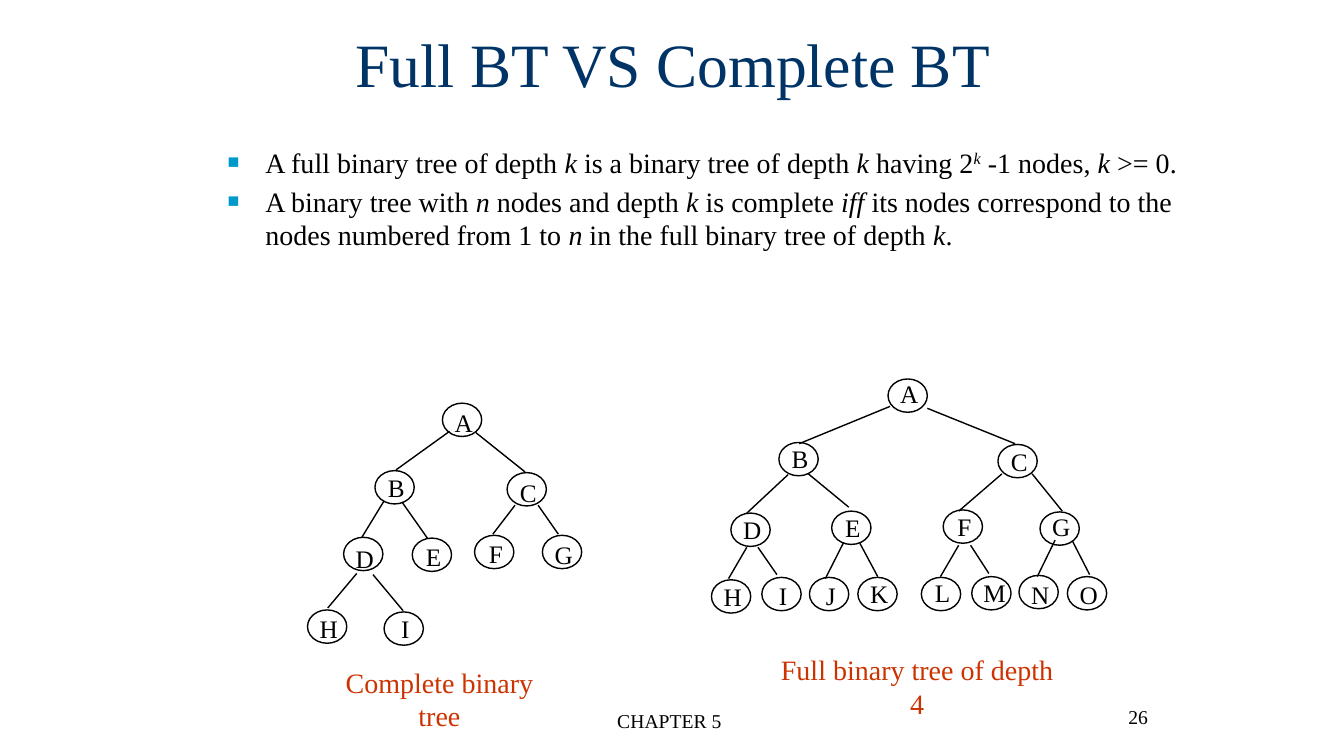
from lxml.etree import SubElement
from pptx import Presentation
from pptx.dml.color import RGBColor
from pptx.enum.shapes import MSO_CONNECTOR as Line, MSO_SHAPE as Preset
from pptx.enum.text import MSO_ANCHOR as Anchor, PP_ALIGN as Align
from pptx.oxml.ns import qn
from pptx.util import Cm, Pt

FONT = "Times New Roman"
BLACK, NAVY, RED, SKY = "000000", "003366", "CC3300", "0099CC"
NODE_WIDTH, NODE_HEIGHT = 0.99, 0.84
LABEL_HEIGHT, LABEL_SHIFT = 1.02, 0.04

DEFINITIONS = [
    "A full binary tree of depth *k* is a binary tree of depth *k* having "
    "2*^k* -1 nodes, *k *>= 0.",
    "A binary tree with *n* nodes and depth *k* is complete *iff* its nodes "
    "correspond to the nodes numbered from 1 to *n* in the full binary tree "
    "of depth *k*.",
]

# Each node: name, left, top, label rise, edge from its parent (x1, y1, x2, y2)
COMPLETE_TREE = [
    ("A", 11.15, 10.16, 0.03, None),
    ("B", 9.45, 11.86, 0.08, (11.33, 10.87, 9.98, 11.84)),
    ("C", 12.78, 11.91, 0, (11.99, 10.9, 13.23, 11.89)),
    ("D", 8.66, 13.54, -0.03, (9.68, 12.62, 9.12, 13.54)),
    ("E", 10.39, 13.56, 0.05, (10.13, 12.65, 10.77, 13.56)),
    ("F", 11.96, 13.49, 0.05, (12.98, 12.73, 12.42, 13.46)),
    ("G", 13.67, 13.49, 0.03, (13.56, 12.73, 14.07, 13.46)),
    ("H", 7.75, 15.37, 0.05, (8.99, 14.45, 8.26, 15.32)),
    ("I", 9.68, 15.42, 0.1, (9.4, 14.48, 10.16, 15.39)),
]
FULL_TREE = [
    ("A", 22.38, 9.55, 0.13, None),
    ("B", 19.63, 11.15, 0.1, (22.43, 10.24, 20.14, 11.18)),
    ("C", 25.15, 11.2, 0.08, (23.37, 10.29, 25.58, 11.18)),
    ("D", 18.42, 12.93, 0.1, (19.86, 11.96, 18.82, 12.93)),
    ("E", 20.96, 12.88, 0.1, (20.37, 11.94, 21.39, 12.78)),
    ("F", 23.77, 12.85, 0.1, (25.25, 11.94, 24.16, 12.88)),
    ("G", 26.21, 12.9, 0.13, (26.01, 11.94, 26.77, 12.88)),
    ("H", 17.93, 14.61, 0.08, (18.82, 13.79, 18.36, 14.58)),
    ("I", 19.2, 14.55, 0.05, (19.1, 13.79, 19.58, 14.48)),
    ("J", 20.4, 14.55, 0.05, (21.26, 13.67, 20.8, 14.58)),
    ("K", 21.62, 14.55, 0.1, (21.67, 13.69, 22.12, 14.53)),
    ("L", 23.22, 14.55, 0.13, (24.16, 13.74, 23.7, 14.53)),
    ("M", 24.49, 14.53, 0.1, (24.46, 13.74, 24.92, 14.45)),
    ("N", 25.68, 14.5, 0.03, (26.59, 13.61, 26.14, 14.53)),
    ("O", 26.9, 14.53, 0.05, (27.03, 13.64, 27.46, 14.48)),
]


def rgb(color):
    return RGBColor.from_string(color)


def add_bullet(paragraph):
    props = paragraph._p.get_or_add_pPr()
    props.set("marL", str(Cm(0.95)))
    props.set("indent", str(-Cm(0.95)))
    SubElement(SubElement(props, qn("a:buClr")), qn("a:srgbClr"), val=SKY)
    SubElement(props, qn("a:buSzPct"), val="70000")
    SubElement(props, qn("a:buFont"), typeface=FONT)
    SubElement(props, qn("a:buChar"), char="■")


def add_runs(paragraph, text):
    """Fill a paragraph; *...* is italic and *^...* a raised italic."""
    for index, piece in enumerate(text.split("*")):
        if not piece:
            continue
        run = paragraph.add_run()
        run.text = piece.removeprefix("^")
        if index % 2:
            run.font.italic = True
        if piece.startswith("^"):
            run._r.get_or_add_rPr().set("baseline", "30000")


def add_text(slide, text, left, top, width, height, *, size, color=BLACK,
             align=Align.LEFT, anchor=Anchor.TOP, wrap=True, bullets=False,
             side_inset=0.25):
    """Add a text box; a list of strings gives one paragraph each."""
    box = slide.shapes.add_textbox(Cm(left), Cm(top), Cm(width), Cm(height))
    frame = box.text_frame
    frame.word_wrap = wrap
    frame.vertical_anchor = anchor
    frame.margin_left = frame.margin_right = Cm(side_inset)
    lines = [text] if isinstance(text, str) else text
    for index, line in enumerate(lines):
        paragraph = frame.add_paragraph() if index else frame.paragraphs[0]
        if bullets:
            add_bullet(paragraph)
        if index:
            paragraph.space_before = Pt(4)
        paragraph.alignment = align
        add_runs(paragraph, line)
        for run in paragraph.runs:
            run.font.name = FONT
            run.font.size = Pt(size)
            run.font.color.rgb = rgb(color)


def add_edge(slide, x1, y1, x2, y2):
    edge = slide.shapes.add_connector(
        Line.STRAIGHT, Cm(x1), Cm(y1), Cm(x2), Cm(y2))
    edge.line.color.rgb = rgb(BLACK)
    edge.line.width = Pt(1)
    SubElement(edge._element.spPr, qn("a:effectLst"))


def add_node(slide, name, left, top, rise):
    node = slide.shapes.add_shape(
        Preset.OVAL, Cm(left), Cm(top), Cm(NODE_WIDTH), Cm(NODE_HEIGHT))
    node.shadow.inherit = False
    node.fill.background()
    node.line.color.rgb = rgb(BLACK)
    node.line.width = Pt(1)
    add_text(slide, name, left + LABEL_SHIFT, top - rise, NODE_WIDTH,
             LABEL_HEIGHT, size=18, align=Align.CENTER, wrap=False)


def add_tree(slide, nodes):
    for name, left, top, rise, edge in nodes:
        add_node(slide, name, left, top, rise)
        if edge:
            add_edge(slide, *edge)


def add_caption(slide, text, left, top, width):
    add_text(slide, text, left, top, width, 1.09, size=20, color=RED,
             align=Align.CENTER, side_inset=0.36)


def main():
    deck = Presentation()
    deck.slide_width, deck.slide_height = Cm(33.87), Cm(19.05)
    slide = deck.slides.add_slide(deck.slide_layouts[6])

    add_text(slide, "CHAPTER 5", 11.51, 17.73, 10.72, 1.27, size=14,
             align=Align.CENTER)
    add_text(slide, "26", 23.9, 17.63, 5.28, 1.27, size=14, align=Align.RIGHT)
    add_text(slide, "Full BT VS Complete BT", 4.24, 0, 25.45, 3.18, size=44,
             color=NAVY, align=Align.CENTER, anchor=Anchor.MIDDLE)
    add_text(slide, DEFINITIONS, 5.49, 3.53, 25.73, 6.32, size=20,
             bullets=True)

    add_tree(slide, COMPLETE_TREE)
    add_tree(slide, FULL_TREE)
    add_caption(slide, "Full binary tree of depth 4", 19.18, 16.33, 7.87)
    add_caption(slide, "Complete binary tree", 7.85, 16.64, 6.45)

    deck.save("out.pptx")


if __name__ == "__main__":
    main()
